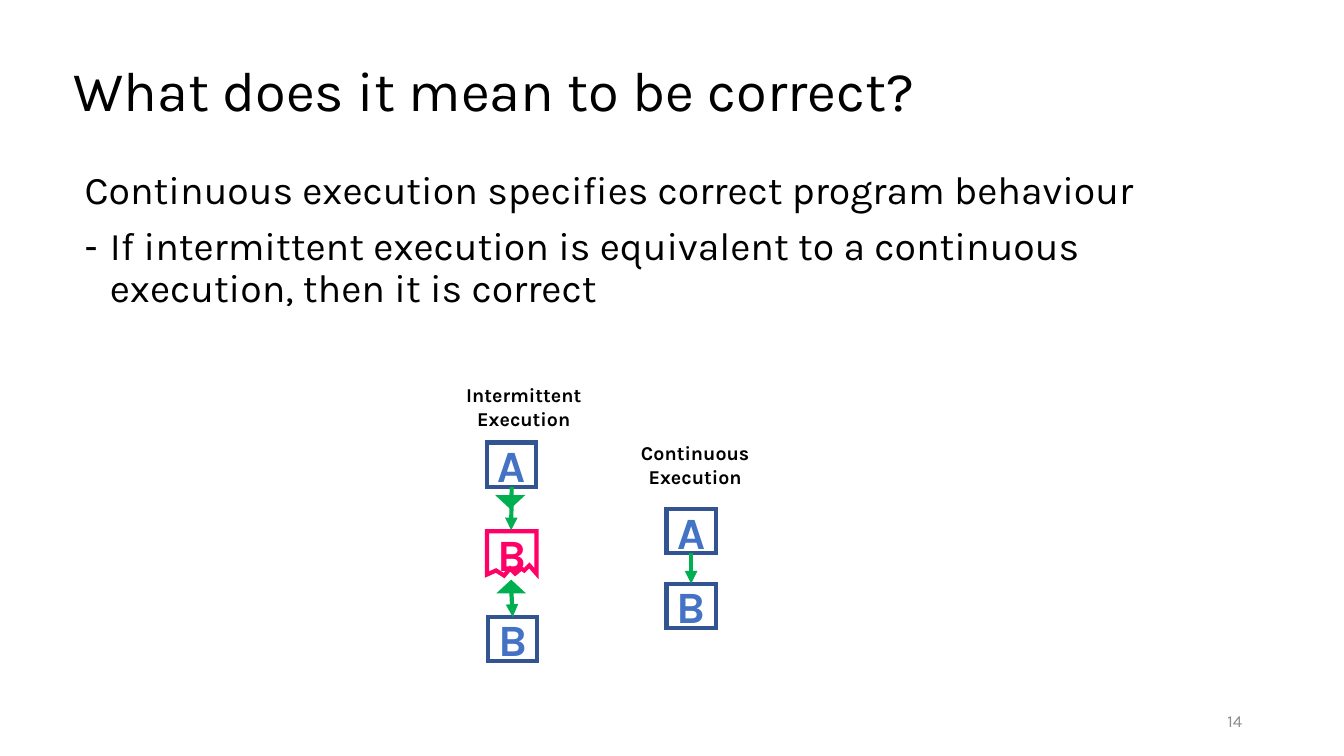
from dataclasses import dataclass

from pptx import Presentation
from pptx.dml.color import RGBColor
from pptx.enum.shapes import MSO_CONNECTOR, MSO_SHAPE
from pptx.enum.text import MSO_ANCHOR, MSO_AUTO_SIZE, PP_ALIGN
from pptx.oxml.ns import qn
from pptx.util import Emu, Pt
from lxml.etree import SubElement

PX = 9144  # one hundredth of an inch
TOP, BOTTOM = 0, 2


@dataclass(frozen=True)
class Theme:
    font: str = "Karla"
    ink: str = "000000"
    paper: str = "FFFFFF"
    muted: str = "8C8C8C"
    letter: str = "4472C4"
    frame: str = "325491"
    failed: str = "FF0066"
    flow: str = "00B050"
    title_size: int = 40
    body_size: int = 28
    letter_size: int = 32
    label_size: int = 14
    number_size: int = 12
    thick: int = 3
    thin: int = 1


def write(para, text, *, theme, size, color, bold=False, align=PP_ALIGN.LEFT,
          spacing=None, before=0):
    para.alignment = align
    para.space_before = Pt(before)
    if spacing:
        para.line_spacing = spacing
    span = para.add_run()
    span.text = text
    span.font.name = theme.font
    span.font.size = Pt(size)
    span.font.bold = bold
    span.font.color.rgb = RGBColor.from_string(color)


def add_line_part(shape, tag, **attributes):
    """Append an element such as a join or an arrowhead to the outline."""
    SubElement(shape._element.spPr.find(qn("a:ln")), qn(tag), attributes)


def set_bullet(para, bullet, indent):
    properties = para._p.get_or_add_pPr()
    properties.set("marL", str(indent * PX))
    properties.set("indent", str(-indent * PX))
    if bullet:
        SubElement(properties, qn("a:buFontTx"))
        SubElement(properties, qn("a:buChar"), char=bullet)
    else:
        SubElement(properties, qn("a:buNone"))


class SlideBuilder:
    def __init__(self, page, theme):
        self.page = page
        self.theme = theme

    def place(self, shape, left, top, width, height):
        shape.left, shape.top = Emu(left * PX), Emu(top * PX)
        shape.width, shape.height = Emu(width * PX), Emu(height * PX)

    def title(self, text, *bounds):
        box = self.page.shapes.title
        self.place(box, *bounds)
        frame = box.text_frame
        frame.auto_size = MSO_AUTO_SIZE.NONE
        frame.vertical_anchor = MSO_ANCHOR.MIDDLE
        write(frame.paragraphs[0], text, theme=self.theme, spacing=0.9,
              size=self.theme.title_size, color=self.theme.ink)

    def body(self, items, *bounds):
        """Fill the body with (text, bullet, indent) items."""
        box = self.page.placeholders[1]
        self.place(box, *bounds)
        frame = box.text_frame
        frame.auto_size = MSO_AUTO_SIZE.NONE
        frame.vertical_anchor = MSO_ANCHOR.TOP
        for index, (text, bullet, indent) in enumerate(items):
            para = frame.add_paragraph() if index else frame.paragraphs[0]
            set_bullet(para, bullet, indent)
            write(para, text, theme=self.theme, size=self.theme.body_size,
                  color=self.theme.ink, spacing=0.9, before=10 if index else 0)

    def text(self, lines, *bounds, anchor=MSO_ANCHOR.TOP, **style):
        box = self.page.shapes.add_textbox(0, 0, 0, 0)
        self.place(box, *bounds)
        frame = box.text_frame
        frame.word_wrap = True
        frame.vertical_anchor = anchor
        for index, line in enumerate(lines):
            para = frame.add_paragraph() if index else frame.paragraphs[0]
            write(para, line, theme=self.theme, **style)

    def label(self, lines, left, top):
        self.text(lines, left, top, 151, 57, size=self.theme.label_size,
                  color=self.theme.ink, bold=True, align=PP_ALIGN.CENTER)

    def paint(self, shape, fill, line, weight):
        shape.shadow.inherit = False
        shape.fill.solid()
        shape.fill.fore_color.rgb = RGBColor.from_string(fill)
        shape.line.color.rgb = RGBColor.from_string(line)
        shape.line.width = Pt(weight)
        add_line_part(shape, "a:miter", lim="800000")

    def letter(self, shape, text, color):
        frame = shape.text_frame
        frame.vertical_anchor = MSO_ANCHOR.MIDDLE
        write(frame.paragraphs[0], text, theme=self.theme, bold=True,
              size=self.theme.letter_size, color=color, align=PP_ALIGN.CENTER)

    def task(self, text, left, top):
        shape = self.page.shapes.add_shape(MSO_SHAPE.RECTANGLE, 0, 0, 0, 0)
        self.place(shape, left, top, 49, 44)
        self.paint(shape, self.theme.paper, self.theme.frame, self.theme.thick)
        self.letter(shape, text, self.theme.letter)
        return shape

    def torn_task(self, text, outline):
        builder = self.page.shapes.build_freeform(*outline[0], scale=PX)
        builder.add_line_segments(outline[1:], close=True)
        shape = builder.convert_to_shape()
        self.paint(shape, self.theme.paper, self.theme.failed, self.theme.thick)
        self.letter(shape, text, self.theme.failed)

    def arrow(self, start, end, source=None, target=None):
        connector = self.page.shapes.add_connector(
            MSO_CONNECTOR.STRAIGHT, *(Emu(value * PX) for value in start + end))
        if source:
            connector.begin_connect(source, BOTTOM)
        if target:
            connector.end_connect(target, TOP)
        connector.line.color.rgb = RGBColor.from_string(self.theme.flow)
        connector.line.width = Pt(self.theme.thick)
        add_line_part(connector, "a:tailEnd", type="triangle")
        SubElement(connector._element.spPr, qn("a:effectLst"))

    def marker(self, left, top, rotation=0):
        shape = self.page.shapes.add_shape(MSO_SHAPE.ISOSCELES_TRIANGLE, 0, 0, 0, 0)
        self.place(shape, left, top, 26, 12)
        shape.rotation = rotation
        self.paint(shape, self.theme.flow, self.theme.flow, self.theme.thin)


def main():
    deck = Presentation()
    deck.slide_width, deck.slide_height = Emu(1333 * PX), Emu(750 * PX)
    theme = Theme()
    slide = SlideBuilder(deck.slides.add_slide(deck.slide_layouts[1]), theme)

    slide.title("What does it mean to be correct?", 63, 20, 1150, 145)
    slide.body([
        ("Continuous execution specifies correct program behaviour", None, 0),
        ("If intermittent execution is equivalent to a continuous execution, "
         "then it is correct", "-", 25),
    ], 74, 164, 1076, 180)
    slide.text(["14"], 942, 695, 300, 40, anchor=MSO_ANCHOR.MIDDLE,
               size=theme.number_size, color=theme.muted, align=PP_ALIGN.RIGHT)

    slide.torn_task("B", [
        (483, 570), (483, 527), (532, 527), (532, 569), (525, 561), (520, 566),
        (517, 564), (511, 569), (506, 564), (500, 571), (492, 566)])
    first = slide.task("A", 483, 439)
    slide.arrow((507, 483), (507, 526), source=first)
    slide.marker(493, 492, rotation=180)
    retry = slide.task("B", 484, 612)
    slide.arrow((507, 583), (509, 613), target=retry)
    slide.marker(494, 576)

    first = slide.task("A", 661, 505)
    second = slide.task("B", 661, 579)
    slide.arrow((685, 550), (686, 580), source=first, target=second)

    slide.label(["Intermittent Execution"], 444, 375)
    slide.label(["Continuous", "Execution"], 614, 433)
    deck.save("out.pptx")


if __name__ == "__main__":
    main()
